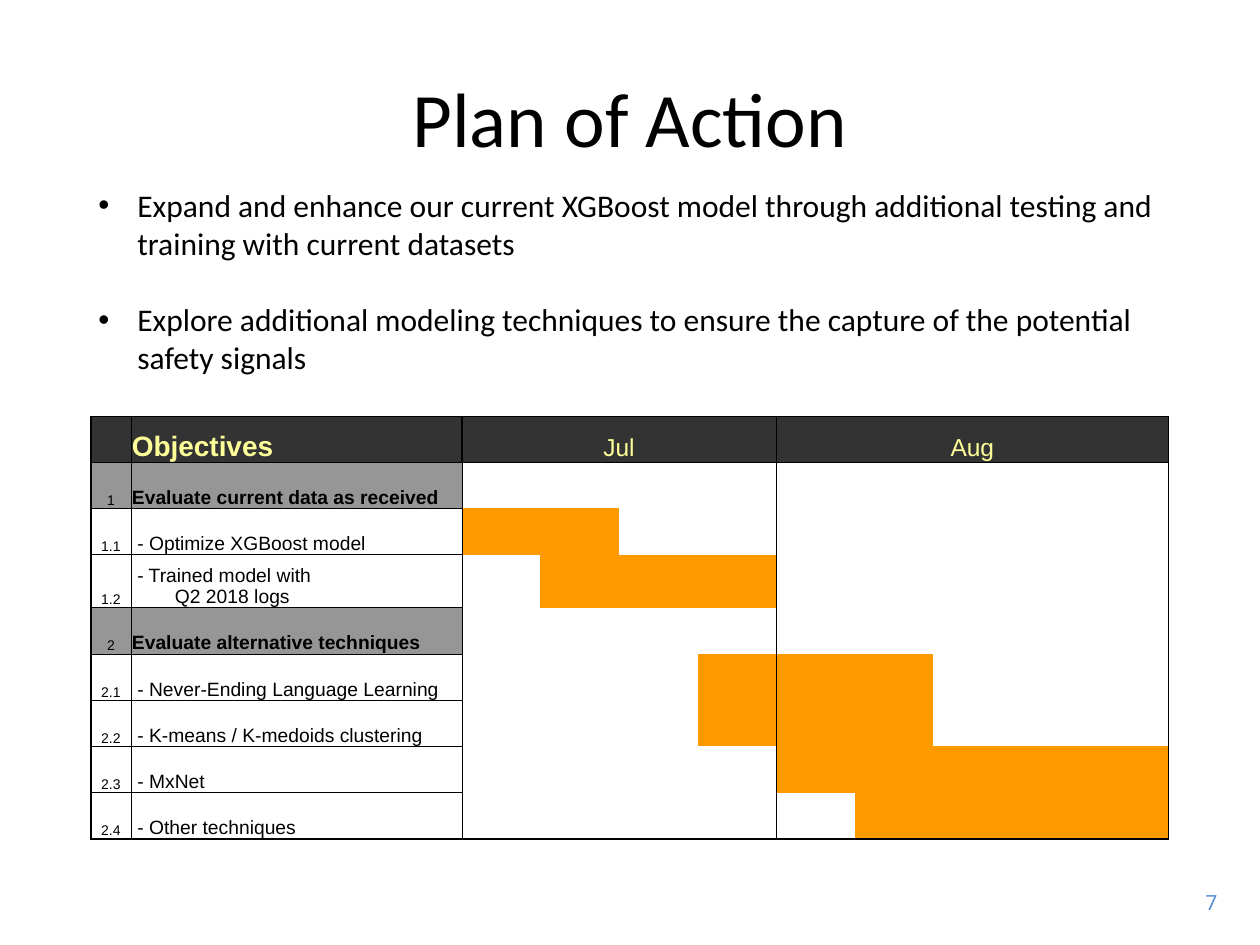
from lxml import etree
from pptx import Presentation
from pptx.dml.color import RGBColor
from pptx.enum.text import MSO_ANCHOR, PP_ALIGN
from pptx.oxml.ns import qn
from pptx.util import Emu, Pt

LEFT, CENTER, RIGHT = PP_ALIGN.LEFT, PP_ALIGN.CENTER, PP_ALIGN.RIGHT
MIDDLE, BOTTOM = MSO_ANCHOR.MIDDLE, MSO_ANCHOR.BOTTOM

BLACK = RGBColor(0x00, 0x00, 0x00)
DARK = RGBColor(0x33, 0x33, 0x33)
GREY = RGBColor(0x96, 0x96, 0x96)
YELLOW = RGBColor(0xFF, 0xFF, 0x99)
ORANGE = RGBColor(0xFF, 0x99, 0x00)
BLUE = RGBColor(0x55, 0x8E, 0xD5)

THIN, THICK = 0.5, 1
FIRST_WEEK, WEEKS, JUL_WEEKS = 2, 9, 4
TABLE_W, TABLE_H = 1078, 423
NUMBER_W, OBJECTIVE_W, TALL_H = 40, 331, 53

BULLETS = [
    "Expand and enhance our current XGBoost model through additional testing "
    "and training with current datasets",
    "Explore additional modeling techniques to ensure the capture of the "
    "potential safety signals",
]
TASKS = [
    ("1", ["Evaluate current data as received"], range(0)),
    ("1.1", [" - Optimize XGBoost model"], range(0, 2)),
    ("1.2", [" - Trained model with", "Q2 2018 logs"], range(1, 4)),
    ("2", ["Evaluate alternative techniques"], range(0)),
    ("2.1", [" - Never-Ending Language Learning"], range(3, 6)),
    ("2.2", [" - K-means / K-medoids clustering"], range(3, 6)),
    ("2.3", [" - MxNet"], range(4, 9)),
    ("2.4", [" - Other techniques"], range(5, 9)),
]


def px(n):
    """Turn pixels at 126 to the inch into EMU."""
    return Emu(round(n * 914400 / 126))


def style(p, size, color, name, align=LEFT, bold=False):
    """Set the alignment and font of a paragraph."""
    p.alignment = align
    p.font.size, p.font.name, p.font.bold = Pt(size), name, bold
    p.font.color.rgb = color


def add_title(s, text):
    """Fill and place the title placeholder."""
    sp = s.shapes.title
    sp.left, sp.top, sp.width, sp.height = px(63), px(38), px(1134), px(158)
    tf = sp.text_frame
    tf.text = text
    tf.vertical_anchor = MIDDLE
    style(tf.paragraphs[0], 44, BLACK, "Calibri", CENTER)


def add_bullets(s, items):
    """Add the bulleted text box."""
    tf = s.shapes.add_textbox(px(86), px(180), px(1134), px(204)).text_frame
    tf.word_wrap = True
    tf.text = "\n".join(items)
    for p in tf.paragraphs:
        style(p, 18, BLACK, "Calibri")
        p.space_after = Pt(22)
        pPr = p._p.get_or_add_pPr()
        pPr.set("marL", str(px(39)))
        pPr.set("indent", str(-px(39)))
        bullet_font = etree.Element(qn("a:buFont"), typeface="Arial")
        bullet = etree.Element(qn("a:buChar"), char="•")
        default = pPr.find(qn("a:defRPr"))
        default.addprevious(bullet_font)
        default.addprevious(bullet)


def add_page_number(s, text):
    """Add the page number at the lower right."""
    tf = s.shapes.add_textbox(px(1178), px(883), px(52), px(38)).text_frame
    tf.word_wrap = False
    tf.text = text
    style(tf.paragraphs[0], 12, BLUE, "Roboto", RIGHT)


def set_borders(cell, left=None, right=None, top=None, bottom=None):
    """Draw the cell sides that have a width and clear the others."""
    tcPr = cell._tc.get_or_add_tcPr()
    for side, width in zip("LRTB", (left, right, top, bottom)):
        ln = etree.SubElement(tcPr, qn(f"a:ln{side}"))
        if width is None:
            etree.SubElement(ln, qn("a:noFill"))
        else:
            ln.set("w", str(Pt(width)))
            fill = etree.SubElement(ln, qn("a:solidFill"))
            etree.SubElement(fill, qn("a:srgbClr"), val=str(BLACK))


def format_cell(cell, fill=None, **borders):
    """Set the borders, fill and margins of a cell."""
    set_borders(cell, **borders)
    if fill is None:
        cell.fill.background()
    else:
        cell.fill.solid()
        cell.fill.fore_color.rgb = fill
    cell.margin_left = cell.margin_right = cell.margin_top = px(1)
    cell.margin_bottom = 0
    cell.vertical_anchor = BOTTOM


def write_cell(cell, lines, size, color=BLACK, align=LEFT, bold=False):
    """Write lines of text, the second one indented."""
    cell.text_frame.text = "\n".join(lines)
    for i, p in enumerate(cell.text_frame.paragraphs):
        style(p, size, color, "Arial", align, bold)
        if i:
            p._p.get_or_add_pPr().set("marL", str(px(43)))


def fill_header(table):
    """Write the heading row with its merged months."""
    aug = FIRST_WEEK + JUL_WEEKS
    end = FIRST_WEEK + WEEKS - 1
    for c in range(end + 1):
        format_cell(table.cell(0, c), DARK, top=THIN, bottom=THIN,
                    left=THICK if c in (0, FIRST_WEEK) else THIN,
                    right=THICK if c == 1 else THIN)
    write_cell(table.cell(0, 1), ["Objectives"], 16, YELLOW, bold=True)
    for name, first, last in (("Jul", FIRST_WEEK, aug - 1), ("Aug", aug, end)):
        table.cell(0, first).merge(table.cell(0, last))
        write_cell(table.cell(0, first), [name], 14, YELLOW, CENTER)


def fill_task(table, row, number, lines, active):
    """Write one task and colour its active weeks."""
    is_group = "." not in number
    is_last = row == len(TASKS)
    fill = GREY if is_group else None
    bottom = THICK if is_last else THIN
    for c, left in enumerate((THICK, THIN)):
        format_cell(table.cell(row, c), fill, left=left, right=THIN,
                    top=THIN, bottom=bottom)
    write_cell(table.cell(row, 0), [number], 8, align=CENTER)
    write_cell(table.cell(row, 1), lines, 11, bold=is_group)
    right_sides = {JUL_WEEKS - 1: THIN, WEEKS - 1: THICK}
    for week in range(WEEKS):
        format_cell(table.cell(row, FIRST_WEEK + week),
                    ORANGE if week in active else None,
                    left=THIN if week in (0, JUL_WEEKS) else None,
                    right=right_sides.get(week),
                    top=THIN if row == 1 else None,
                    bottom=THICK if is_last else None)


def add_schedule(s):
    """Add the schedule table."""
    rows = len(TASKS) + 1
    table = s.shapes.add_table(rows, FIRST_WEEK + WEEKS, px(91), px(416),
                               px(TABLE_W), px(TABLE_H)).table
    table.first_row = table.horz_banding = False
    week_w = (TABLE_W - NUMBER_W - OBJECTIVE_W) / WEEKS
    for col, w in zip(table.columns, [NUMBER_W, OBJECTIVE_W] + [week_w] * WEEKS):
        col.width = px(w)
    for row in table.rows:
        row.height = px((TABLE_H - TALL_H) / (rows - 1))
    table.rows[3].height = px(TALL_H)
    fill_header(table)
    for row, task in enumerate(TASKS, 1):
        fill_task(table, row, *task)


def main():
    """Build the slide and save it."""
    prs = Presentation()
    prs.slide_width, prs.slide_height = px(1260), px(945)
    s = prs.slides.add_slide(prs.slide_layouts[5])
    add_page_number(s, "7")
    add_title(s, "Plan of Action")
    add_bullets(s, BULLETS)
    add_schedule(s)
    prs.save("out.pptx")


if __name__ == "__main__":
    main()
